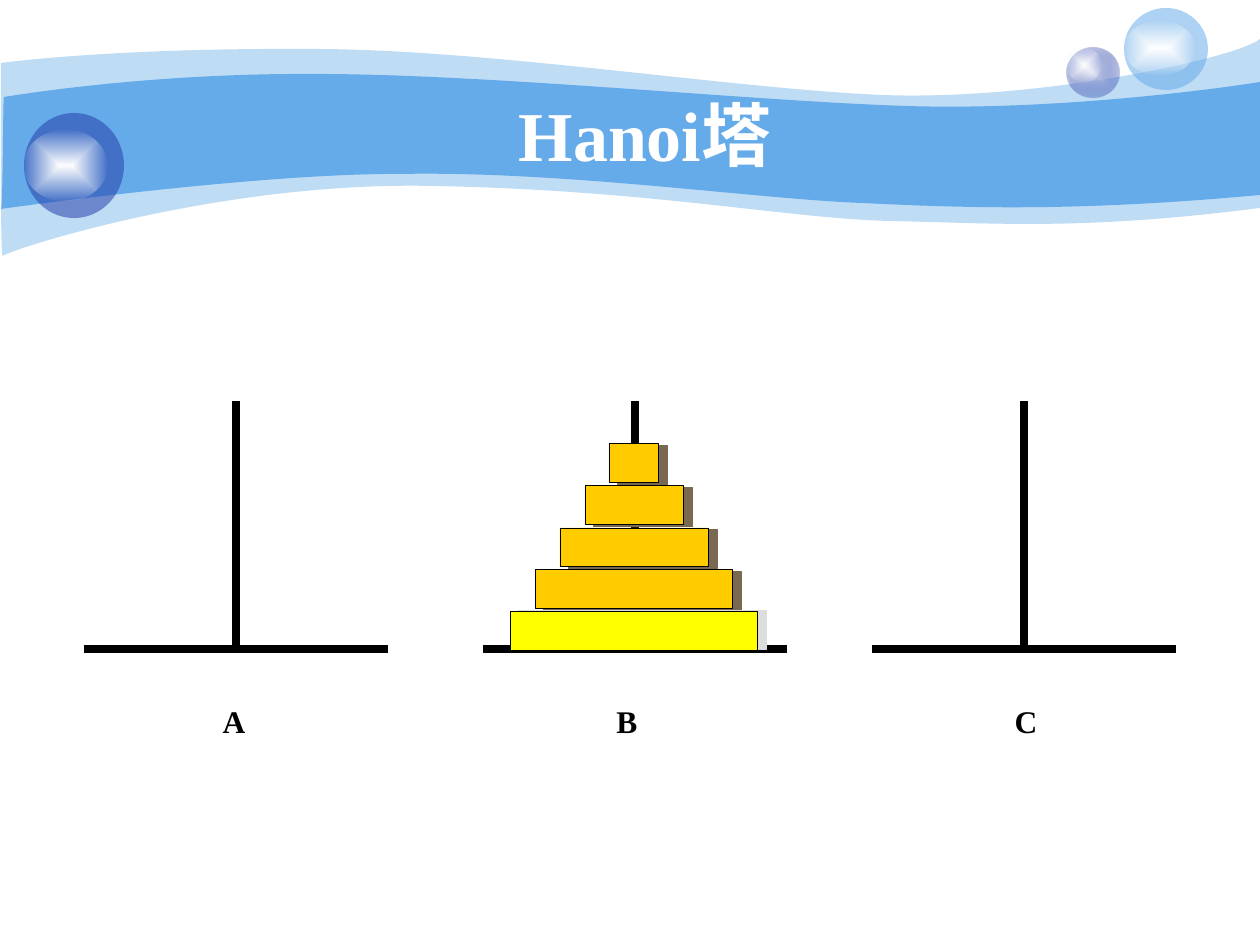
from pptx import Presentation
from pptx import util as u
from pptx.dml.color import RGBColor
from pptx.enum import shapes, text
from pptx.oxml import ns
from lxml import etree

PX = 914400 / 126
FONT = "Times New Roman"
WHITE = RGBColor(0xFF, 0xFF, 0xFF)
BLACK = RGBColor(0, 0, 0)
SKY = RGBColor(0x65, 0xAA, 0xE9)
NAVY = RGBColor(0x23, 0x3D, 0xA9)
LILAC = RGBColor(0xC7, 0xCE, 0xE9)
ORANGE = RGBColor(0xFF, 0xCC, 0x00)
YELLOW = RGBColor(0xFF, 0xFF, 0x00)
BROWN = RGBColor(0x78, 0x69, 0x50)
GREY = RGBColor(0xDD, 0xDD, 0xDD)

OUTER_WAVE = [
    (1, 63), (32, 59), (137, 48), (311, 49), (486, 49), (726, 88), (881, 95),
    (1036, 101), (1235, 59), (1260, 39), (1260, 208), (1081, 231), (993, 223),
    (888, 221), (784, 218), (650, 190), (433, 186), (218, 181), (6, 251),
    (3, 256), (0, 262), (1, 95), (1, 63)]
INNER_WAVE = [
    (4, 97), (6, 97), (141, 73), (315, 74), (489, 74), (751, 101), (906, 106),
    (1061, 111), (1230, 87), (1260, 82), (1260, 195), (1075, 212), (965, 208),
    (861, 203), (756, 199), (564, 171), (402, 174), (258, 173), (0, 209),
    (1, 209), (3, 209), (3, 97), (4, 97)]


def px(*values):
    """Turn pixel lengths into EMU."""
    return [u.Emu(round(v * PX)) for v in values]


def sub(parent, tag, **attrs):
    """Append a DrawingML element to its parent."""
    return etree.SubElement(parent, ns.qn(tag), {k: str(v) for k, v in attrs.items()})


def set_alpha(sp, percent):
    """Make the last fill colour of a shape translucent."""
    colour = list(sp._element.spPr.iter(ns.qn("a:srgbClr")))[-1]
    sub(colour, "a:alpha", val=percent * 1000)


def add_wave(s, x, y, points, opacity):
    """Draw a band bounded by two runs of cubic curves joined by a line."""
    start, *rest = [(x + a, y + b) for a, b in points]
    builder = s.shapes.build_freeform(*start, scale=PX)
    builder.add_line_segments(rest, close=True)
    sp = builder.convert_to_shape()
    lines = list(sp._element.spPr.iter(ns.qn("a:lnTo")))
    for i in (0, 3, 6, 10, 13, 16, 19):
        curve = etree.Element(ns.qn("a:cubicBezTo"))
        lines[i].addprevious(curve)
        for line in lines[i:i + 3]:
            curve.append(line[0])
            line.getparent().remove(line)
    sp.shadow.inherit = False
    sp.fill.solid()
    sp.fill.fore_color.rgb = SKY
    sp.line.fill.background()
    set_alpha(sp, opacity)


def add_ellipse(s, box, inner, outer, opacity):
    """Draw an ellipse, shaded outwards when it has an inner colour."""
    sp = s.shapes.add_shape(shapes.MSO_SHAPE.OVAL, *px(*box))
    sp.shadow.inherit = False
    sp.line.fill.background()
    if inner is None:
        sp.fill.solid()
        sp.fill.fore_color.rgb = outer
    else:
        sp.fill.gradient()
        for stop, colour in zip(sp.fill.gradient_stops, (inner, outer)):
            stop.color.rgb = colour
        grad = sp._element.spPr.find(ns.qn("a:gradFill"))
        grad.remove(grad.find(ns.qn("a:lin")))
        shade = sub(grad, "a:path", path="shape")
        sub(shade, "a:fillToRect", l=50000, t=50000, r=50000, b=50000)
    set_alpha(sp, opacity)


def add_ball(s, x, y, w, h, shine, inner, outer, opacity):
    """Draw a ball with a white shine given as top offset, width and height."""
    top, shine_w, shine_h = shine
    add_ellipse(s, (x, y, w, h), inner, outer, opacity)
    add_ellipse(s, (x, y + top, shine_w, shine_h), WHITE, WHITE, 0)


def add_text(s, box, words, size, colour, wrap):
    """Place one bold, centred line of text."""
    sp = s.shapes.add_textbox(*px(*box))
    tf = sp.text_frame
    tf.text = words
    tf.word_wrap = wrap
    tf.vertical_anchor = text.MSO_ANCHOR.MIDDLE
    p = tf.paragraphs[0]
    p.alignment = text.PP_ALIGN.CENTER
    r = p.runs[0]
    r.font.name = FONT
    r.font.size = u.Pt(size)
    r.font.bold = True
    r.font.color.rgb = colour
    return tf


def add_banner(s, x, y):
    """Draw the waves, the balls and the title."""
    add_wave(s, x, y, OUTER_WAVE, 41)
    add_wave(s, x, y, INNER_WAVE, 100)
    add_ball(s, x + 1067, y + 48, 53, 50, (0, 35, 34), LILAC, NAVY, 31)
    add_ball(s, x + 1124, y + 8, 84, 82, (13, 71, 54), None, SKY, 53)
    add_ball(s, x + 24, y + 113, 100, 105, (17, 83, 71), None, NAVY, 53)
    add_text(s, (x + 136, y + 95, 1018, 78), "Hanoi塔", 40, WHITE, True)


def add_bar(s, x1, y1, x2, y2):
    """Draw a thick black line."""
    c = s.shapes.add_connector(shapes.MSO_CONNECTOR.STRAIGHT, *px(x1, y1, x2, y2))
    c.line.color.rgb = BLACK
    c.line.width = u.Pt(4.5)
    sub(c._element.spPr, "a:effectLst")


def add_peg(s, x, y, w, h, name, name_x):
    """Draw a base, its pole and the name below."""
    add_bar(s, x, y + h, x + w, y + h)
    add_bar(s, x + w // 2, y, x + w // 2, y + h)
    tf = add_text(s, (x + name_x - 24, y + h + 47, 48, 50), name, 18, BLACK, False)
    tf.auto_size = text.MSO_AUTO_SIZE.SHAPE_TO_FIT_TEXT


def add_disk(s, x, y, w, h, fill, shade, angle):
    """Draw a disk with a hard shadow."""
    sp = s.shapes.add_shape(shapes.MSO_SHAPE.RECTANGLE, *px(x, y, w, h))
    sp.fill.solid()
    sp.fill.fore_color.rgb = fill
    sp.line.color.rgb = BLACK
    sp.line.width = u.Pt(0.5)
    sp.shadow.inherit = False
    effects = sp._element.spPr.find(ns.qn("a:effectLst"))
    shadow = sub(effects, "a:outerShdw", dist=u.Pt(5.1), dir=angle * 60000,
                 algn="ctr", rotWithShape=0)
    sub(shadow, "a:srgbClr", val=shade)


def add_tower(s, centre, top):
    """Stack five disks, the widest drawn last."""
    for n in (4, 3, 2, 1, 5):
        w = round(49.6 * n)
        look = (YELLOW, GREY, 349) if n == 5 else (ORANGE, BROWN, 11)
        add_disk(s, centre - w // 2, top + 42 * (n - 1), w, 39, *look)


def main():
    """Build the slide and save it."""
    prs = Presentation()
    prs.slide_width, prs.slide_height = px(1260, 945)
    s = prs.slides.add_slide(prs.slide_layouts[6])
    add_banner(s, 0, 0)
    for x, name, name_x in ((84, "A", 150), (483, "B", 144), (872, "C", 154)):
        add_peg(s, x, 401, 304, 248, name, name_x)
    add_tower(s, 634, 444)
    prs.save("out.pptx")


if __name__ == "__main__":
    main()
